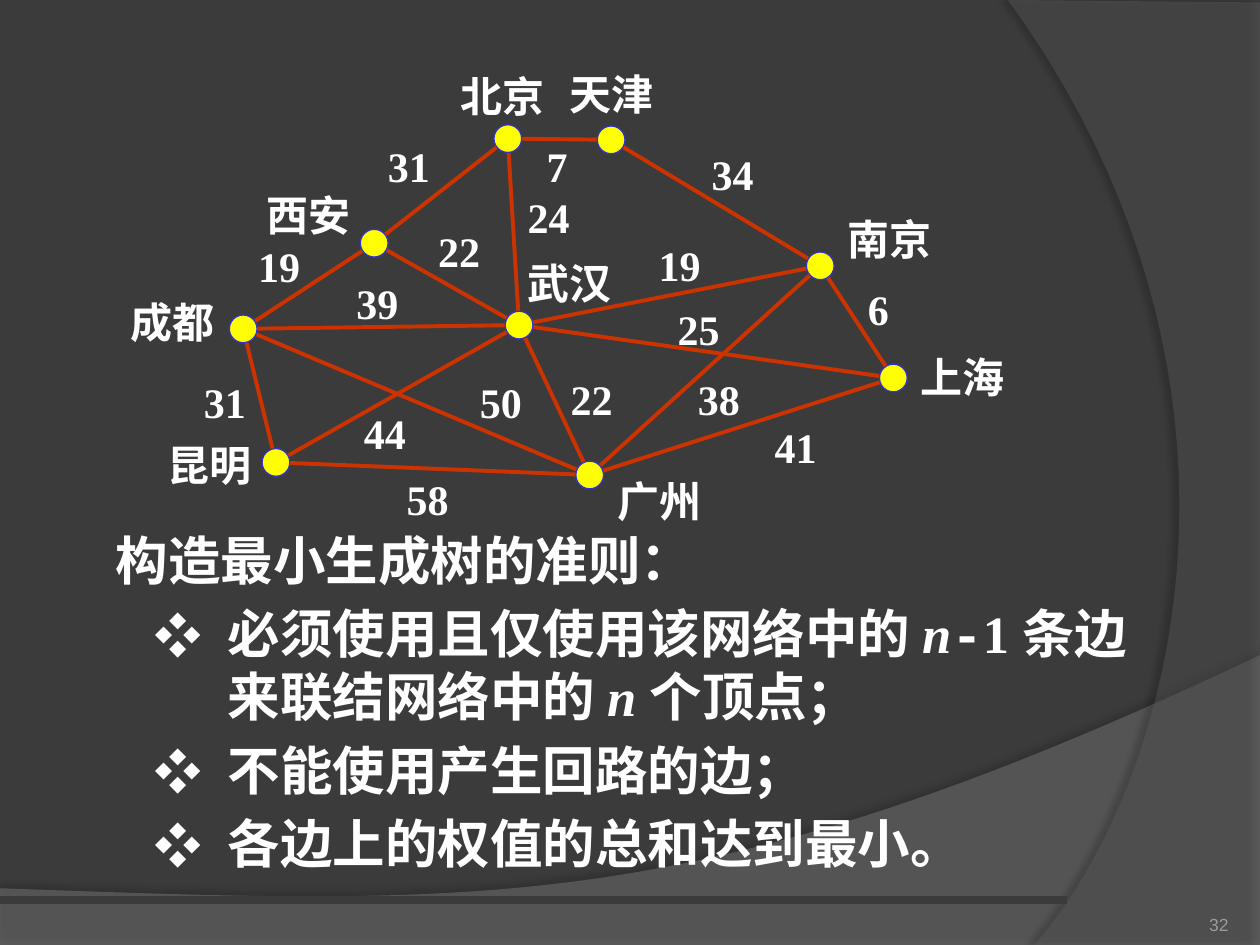
import math

import lxml.etree
import pptx
import pptx.dml.color
import pptx.enum.shapes
import pptx.enum.text
import pptx.oxml
import pptx.oxml.ns
import pptx.util

COLORS = {"bg": "3B3B3B", "swoosh": "7F7F7F", "side": "5E5E5E", "edge": "CC3300",
          "node": "FFFF00", "ring": "3333CC", "text": "FFFFFF", "number": "9D9B9A"}
SERIF, CJK = "Times New Roman", "Noto Sans CJK SC"
COLS, ROWS, RADIUS = 100, 75, 1.1


def rgb(name):
    return pptx.dml.color.RGBColor.from_string(COLORS[name])


def add_xml(parent, tag, **attrs):
    el = lxml.etree.SubElement(parent, pptx.oxml.ns.qn("a:" + tag))
    for key, value in attrs.items():
        el.set(key, str(value))
    return el


def bezier(p0, p1, p2, p3, steps=40):
    points = []
    for i in range(steps + 1):
        t = i / steps
        k = ((1 - t) ** 3, 3 * t * (1 - t) ** 2, 3 * t * t * (1 - t), t ** 3)
        points.append(tuple(sum(w * p[d] for w, p in zip(k, (p0, p1, p2, p3))) for d in (0, 1)))
    return points


class Board:
    """Draws styled elements on one slide, measured in grid columns and rows."""

    def __init__(self, prs):
        self.s = prs.slides.add_slide(prs.slide_layouts[6])
        self.col, self.row = prs.slide_width / COLS, prs.slide_height / ROWS
        fill = self.s.background.fill
        fill.solid()
        fill.fore_color.rgb = rgb("bg")

    def at(self, x, y):
        return round(x * self.col), round(y * self.row)

    def line(self, start, end, color, width):
        c = self.s.shapes.add_connector(pptx.enum.shapes.MSO_CONNECTOR.STRAIGHT,
                                        *self.at(*start), *self.at(*end))
        c.line.color.rgb = rgb(color)
        c.line.width = pptx.util.Pt(width)
        add_xml(c._element.spPr, "effectLst")

    def edge(self, a, b):
        share = RADIUS / math.dist(a, b)
        dx, dy = (b[0] - a[0]) * share, (b[1] - a[1]) * share
        self.line((a[0] + dx, a[1] + dy), (b[0] - dx, b[1] - dy), "edge", 2.25)

    def node(self, x, y):
        sp = self.s.shapes.add_shape(pptx.enum.shapes.MSO_SHAPE.OVAL,
                                     *self.at(x - RADIUS, y - RADIUS),
                                     *self.at(2 * RADIUS, 2 * RADIUS))
        sp.shadow.inherit = False
        sp.fill.solid()
        sp.fill.fore_color.rgb = rgb("node")
        sp.line.color.rgb = rgb("ring")
        sp.line.width = pptx.util.Pt(0.75)

    def region(self, points, color, alpha, shade, distance, angle):
        points = [self.at(*p) for p in points]
        builder = self.s.shapes.build_freeform(*points[0])
        builder.add_line_segments(points[1:], close=True)
        sp = builder.convert_to_shape()
        sp.shadow.inherit = False
        sp.fill.solid()
        sp.fill.fore_color.rgb = rgb(color)
        sp.line.fill.background()
        spPr = sp._element.spPr
        add_xml(spPr.find(".//" + pptx.oxml.ns.qn("a:srgbClr")), "alpha", val=alpha * 1000)
        shadow = add_xml(spPr.find(pptx.oxml.ns.qn("a:effectLst")), "outerShdw",
                         blurRad=pptx.util.Pt(4), dist=pptx.util.Pt(distance),
                         dir=angle * 60000, algn="ctr", rotWithShape=0)
        add_xml(add_xml(shadow, "srgbClr", val="000000"), "alpha", val=shade * 1000)

    def box(self, x, y, w, h, wrap=True):
        tf = self.s.shapes.add_textbox(*self.at(x, y), *self.at(w, h)).text_frame
        tf.word_wrap = wrap
        return tf

    def style(self, r, size, font=SERIF, color="text", bold=True):
        r.font.size, r.font.name, r.font.bold = pptx.util.Pt(size), font, bold
        r.font.color.rgb = rgb(color)
        add_xml(r._r.get_or_add_rPr(), "ea", typeface=CJK)

    def label(self, text, x, y, w):
        tf = self.box(x, y, w, 5, wrap=False)
        tf.text = text
        p = tf.paragraphs[0]
        p.line_spacing = pptx.util.Pt(29)
        self.style(p.runs[0], 24)

    def rules(self, title, items, x, y, w, h):
        tf = self.box(x, y, w, h)
        for i, parts in enumerate([[title]] + items):
            p = tf.add_paragraph() if i else tf.paragraphs[0]
            p.line_spacing = pptx.util.Pt(36)
            p.space_before = pptx.util.Pt(6 if i else 2)
            pPr = p._p.get_or_add_pPr()
            pPr.set("marL", str(round((10.8 if i else 1.9) * self.col)))
            pPr.set("indent", str(round(-5.8 * self.col) if i else 0))
            if i:
                add_xml(add_xml(pPr, "buClr"), "srgbClr", val=COLORS["text"])
                add_xml(pPr, "buSzPct", val=90000)
                add_xml(pPr, "buFont", typeface=CJK)
                add_xml(pPr, "buChar", char="❖")
            for text in parts:
                r = p.add_run()
                r.text = text
                self.style(r, 30, {"-": "Courier New", title: CJK}.get(text, SERIF))
                r.font.italic = text.strip() == "n"

    def page_number(self, text, x, y, w, h):
        tf = self.box(x, y, w, h)
        tf.margin_left = tf.margin_right = tf.margin_top = tf.margin_bottom = 0
        tf.vertical_anchor = pptx.enum.text.MSO_ANCHOR.BOTTOM
        tf.text = text
        tf.paragraphs[0].alignment = pptx.enum.text.PP_ALIGN.RIGHT
        self.style(tf.paragraphs[0].runs[0], 10, "Arial", "number", False)


CITIES = {
    "北京": ((40.3, 11), (35.6, 5.1)), "天津": ((48.5, 11.1), (44.2, 4.9)),
    "南京": ((65.1, 21.1), (66.3, 16.4)), "上海": ((70.9, 30), (72.1, 27.4)),
    "广州": ((46.8, 37.7), (48, 37.2)), "西安": ((29.7, 19.3), (20.2, 14.5)),
    "成都": ((19.3, 26.1), (9.4, 23)), "昆明": ((21.9, 36.7), (12.3, 34.4)),
    "武汉": ((41.2, 25.8), (40.9, 19.9)),
}
ROADS = [
    ("武汉", "广州", 22, 44.3, 29.1), ("成都", "西安", 19, 19.5, 18.6),
    ("西安", "北京", 31, 29.8, 10.6), ("昆明", "成都", 31, 15.2, 29.4),
    ("昆明", "武汉", 44, 27.9, 31.8), ("北京", "武汉", 24, 40.9, 14.7),
    ("武汉", "南京", 19, 51.3, 18.5), ("广州", "南京", 38, 54.4, 29.1),
    ("南京", "上海", 6, 67.9, 22), ("广州", "上海", 41, 60.5, 32.9),
    ("昆明", "广州", 58, 31.3, 37.1), ("成都", "武汉", 39, 27.3, 21.5),
    ("西安", "武汉", 22, 33.8, 17.4), ("成都", "广州", 50, 37.1, 29.4),
    ("武汉", "上海", 25, 52.8, 23.6), ("北京", "天津", 7, 42.4, 10.6),
    ("天津", "南京", 34, 55.5, 11.3),
]
RULES = [
    ["必须使用且仅使用该网络中的 ", "n", "-", "1 条边来联结网络中的 ", "n ", "个顶点；"],
    ["不能使用产生回路的边；"],
    ["各边上的权值的总和达到最小。"],
]

prs = pptx.Presentation()
prs.slide_width, prs.slide_height = pptx.util.Inches(10), pptx.util.Inches(7.5)
board = Board(prs)
board.region([(0, 75), (100, 75)] + bezier((100, 52), (55.9, 72.9), (39.1, 71.9), (0, 70.5)),
             "swoosh", 45, 35, 3.5, 270)
board.region([(100, 0.2), (100, 75)] + bezier((82.1, 75), (93.5, 61.9), (101.8, 30), (80, 0)),
             "side", 40, 45, 4, 180)
board.line((0, 71.4), (84.7, 71.4), "bg", 4.5)
board.rules("构造最小生成树的准则：", RULES, 6.3, 41.4, 88.3, 30.4)
for a, b, *_ in ROADS:
    board.edge(CITIES[a][0], CITIES[b][0])
for center, _ in CITIES.values():
    board.node(*center)
for city, (_, corner) in CITIES.items():
    board.label(city, *corner, 8.7)
for _, _, weight, x, y in ROADS:
    board.label(str(weight), x, y, 5.3 if weight > 9 else 3.7)
board.page_number("32", 89.2, 70.2, 8.3, 4)
prs.save("out.pptx")
